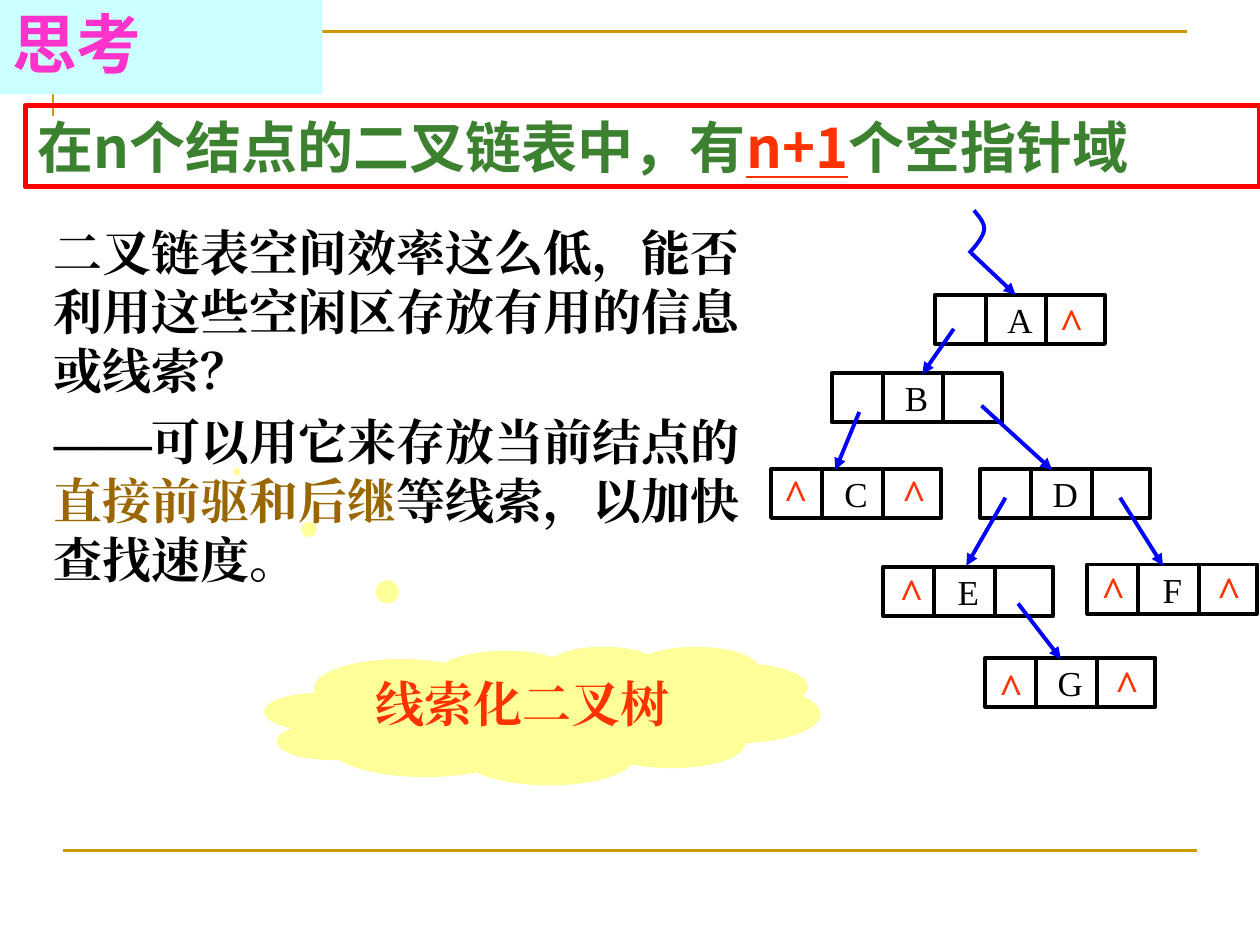
from lxml import etree
from pptx import Presentation, util as u
from pptx.dml import color
from pptx.enum import shapes as s, text as t
from pptx.oxml import ns

COLS, ROWS = 100, 75
CELL = u.Inches(10) // COLS
SERIF, SANS = "Times New Roman", "Noto Sans CJK SC"
GOLD, BLUE, RED, BLACK, GREEN = "CC9900", "0000FF", "FF3300", "000000", "3B812F"
LEFT, MID = t.PP_ALIGN.LEFT, t.PP_ALIGN.CENTER
WIDE, HIGH = 13.5, 3.9
SPLITS = (4.05, 8.85)

NODES = [
    ("A", 74.2, 23.4, [(8.9, -0.4)]),
    ("B", 66, 29.6, []),
    ("C", 61.2, 37.2, [(0, -0.6), (9.4, -0.6)]),
    ("D", 77.8, 37.2, []),
    ("E", 70.1, 45, [(0.3, -0.5)]),
    ("F", 86.3, 44.8, [(0.1, -0.5), (9.3, -0.5)]),
    ("G", 78.2, 52.2, [(0.1, -0.2), (9.3, -0.4)]),
]
ARROWS = [
    (75.7, 26.1, 73.2, 29.7), (68.2, 32.7, 66.3, 37.3),
    (77.9, 32.2, 83.5, 37.3), (79.8, 39.5, 76.7, 44.9),
    (88.9, 39.5, 92.3, 44.9), (80.8, 47.9, 84.2, 52.3),
    (77.1, 20.1, 80.6, 23.4),
]
CURVES = [
    [(77.3, 16.7), (77.7, 17.2), (78.2, 17.7), (78.1, 18.3)],
    [(78.1, 18.3), (78, 18.9), (77.2, 19.8), (76.9, 20.1)],
]


def grid(*cells):
    """Turn grid cells into lengths."""
    return [u.Emu(round(n * CELL)) for n in cells]


def tint(hue):
    """Make a colour from a hex string."""
    return color.RGBColor.from_string(hue)


def paint(shape, fill=None, line=None, width=1.5):
    """Set the fill and outline of a shape, or clear them."""
    shape.shadow.inherit = False
    if fill:
        shape.fill.solid()
        shape.fill.fore_color.rgb = tint(fill)
    else:
        shape.fill.background()
    if line:
        shape.line.color.rgb = tint(line)
        shape.line.width = u.Pt(width)
    else:
        shape.line.fill.background()


def write(shape, paras, size, font=SERIF, bold=True, align=LEFT,
          anchor=t.MSO_ANCHOR.MIDDLE, wrap=True, gap=0, lead=None):
    """Fill a shape with paragraphs of (text, colour, underline) runs."""
    frame = shape.text_frame
    frame.word_wrap = wrap
    frame.vertical_anchor = anchor
    for i, runs in enumerate(paras):
        para = frame.add_paragraph() if i else frame.paragraphs[0]
        para.alignment = align
        para.space_before = u.Pt(gap if i else 0)
        if lead:
            para.line_spacing = lead
        for words, hue, under in runs:
            run = para.add_run()
            run.text = words
            run.font.size = u.Pt(size)
            run.font.name = font
            run.font.bold = bold
            run.font.underline = under
            run.font.color.rgb = tint(hue)
            east = etree.SubElement(run.font._element, ns.qn("a:ea"))
            east.set("typeface", font)


def block(slide, kind, place, **look):
    """Add a painted preset shape."""
    shape = slide.shapes.add_shape(kind, *grid(*place))
    paint(shape, **look)
    return shape


def label(slide, place):
    """Add an empty text box."""
    return slide.shapes.add_textbox(*grid(*place))


def rule(slide, ends, hue, width, head=False):
    """Draw a straight line, with an arrowhead if wanted."""
    line = slide.shapes.add_connector(s.MSO_CONNECTOR.STRAIGHT, *grid(*ends))
    line.line.color.rgb = tint(hue)
    line.line.width = u.Pt(width)
    if head:
        tip = etree.SubElement(line.line._get_or_add_ln(), ns.qn("a:tailEnd"))
        tip.set("type", "triangle")
    etree.SubElement(line._element.spPr, ns.qn("a:effectLst"))


def trace(slide, points, hue, width):
    """Draw an open outline through points."""
    first, *rest = [grid(*point) for point in points]
    pen = slide.shapes.build_freeform(*first)
    pen.add_line_segments(rest, close=False)
    paint(pen.convert_to_shape(), line=hue, width=width)


def bend(curve, steps=12):
    """List points along a cubic curve."""
    shares = [i / steps for i in range(steps + 1)]
    return [tuple((1 - k) ** 3 * a + 3 * (1 - k) ** 2 * k * b
                  + 3 * (1 - k) * k * k * c + k ** 3 * d
                  for a, b, c, d in zip(*curve)) for k in shares]


def node(slide, name, x, y, nulls):
    """Draw a three-part node with its null marks."""
    box = block(slide, s.MSO_SHAPE.RECTANGLE, (x, y, WIDE, HIGH),
                line=BLACK, width=2.25)
    write(box, [[(name, BLACK, False)]], 20, bold=False, align=MID, wrap=False)
    for split in SPLITS:
        rule(slide, (x + split, y, x + split, y + HIGH), BLACK, 2.25)
    for dx, dy in nulls:
        mark = label(slide, (x + dx, y + dy, 3.9, 5))
        write(mark, [[("^", RED, False)]], 24, align=MID, wrap=False)


def tree(slide):
    """Draw the linked binary tree."""
    for item in NODES:
        node(slide, *item)
    for ends in ARROWS:
        rule(slide, ends, BLUE, 2.25, head=True)
    trace(slide, bend(CURVES[0]) + bend(CURVES[1])[1:], BLUE, 2.25)


def prose(slide):
    """Add the question, title, cloud and statement."""
    write(label(slide, (3.3, 17.2, 57.8, 30)), [
        [("二叉链表空间效率这么低，能否利用这些空闲区存放有用的信息或线索？", BLACK, False)],
        [("——可以用它来存放当前结点的", BLACK, False),
         ("直接前驱和后继", "996600", False),
         ("等线索，以加快查找速度。", BLACK, False)],
    ], 28, anchor=t.MSO_ANCHOR.TOP, gap=7)
    title = block(slide, s.MSO_SHAPE.RECTANGLE, (0, 0, 25.6, 7.5), fill="CCFFFF")
    write(title, [[("思考", "FF33CC", False)]], 37, font=SANS, lead=0.9)
    cloud = block(slide, s.MSO_SHAPE.CLOUD_CALLOUT, (21, 51.3, 44.1, 11),
                  fill="FFFF99")
    cloud.adjustments[0], cloud.adjustments[1] = -0.55, -1.76
    write(cloud, [[("线索化二叉树", RED, False)]], 28, align=MID,
          anchor=t.MSO_ANCHOR.TOP)
    fact = block(slide, s.MSO_SHAPE.RECTANGLE, (2, 8.4, 98, 6.4),
                 line="FF0000", width=3)
    write(fact, [[("在n个结点的二叉链表中，有", GREEN, False), ("n+1", RED, True),
                  ("个空指针域", GREEN, False)]], 32, font=SANS)


def main():
    """Build and save the slide."""
    deck = Presentation()
    deck.slide_width, deck.slide_height = grid(COLS, ROWS)
    slide = deck.slides.add_slide(deck.slide_layouts[6])
    trace(slide, [(4.2, 9.2), (4.2, 2.5), (94.2, 2.5)], GOLD, 1.5)
    rule(slide, (5, 67.5, 95, 67.5), GOLD, 1.5)
    prose(slide)
    tree(slide)
    deck.save("out.pptx")


if __name__ == "__main__":
    main()
